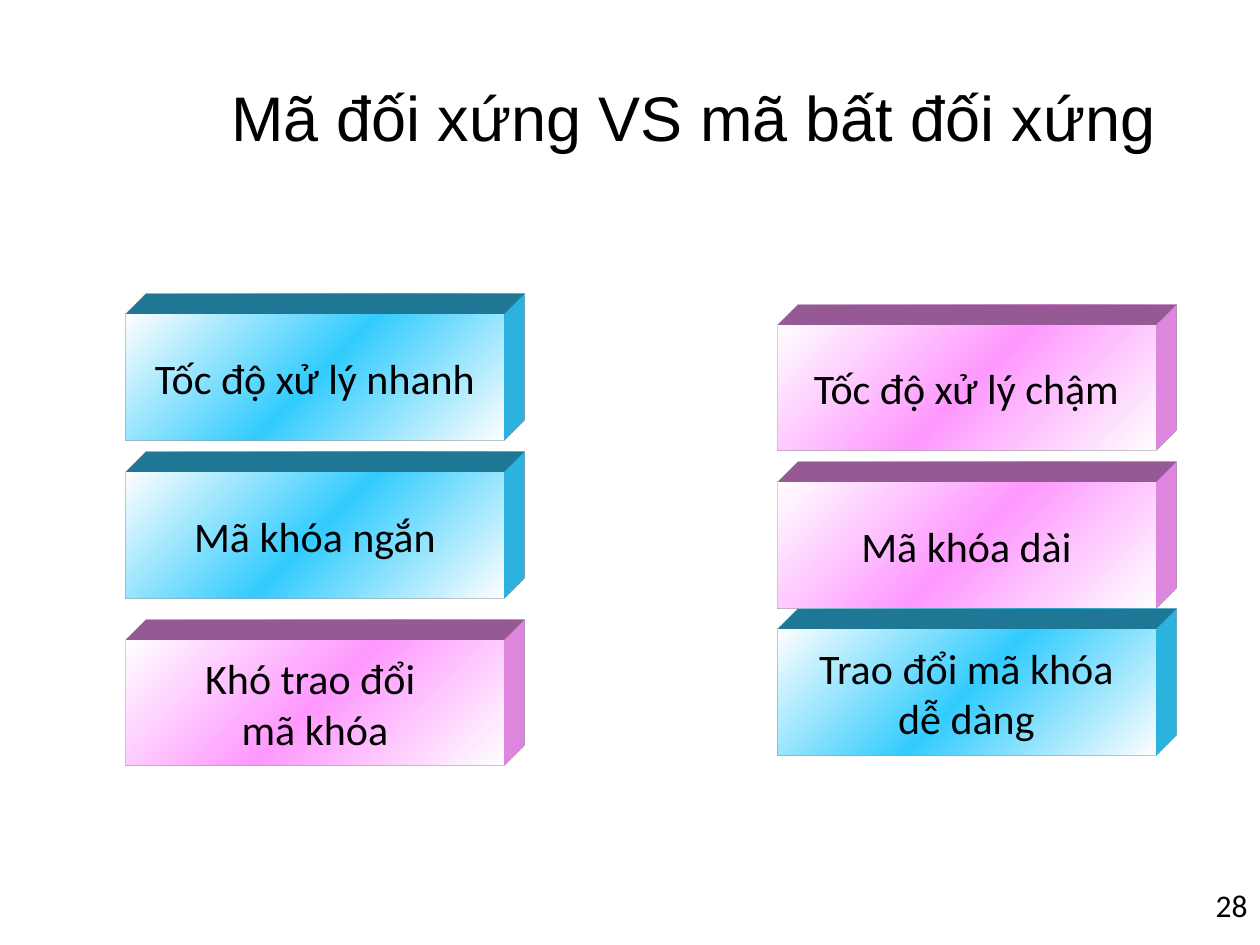
from pptx import Presentation
from pptx.dml.color import RGBColor
from pptx.enum.shapes import MSO_SHAPE
from pptx.enum.text import MSO_ANCHOR as ANCHOR, PP_ALIGN as ALIGN
from pptx.oxml import parse_xml
from pptx.oxml.ns import nsdecls
from pptx.util import Inches, Pt

BLUE, PINK = "33CCFF", "FF99FF"
LEFT_X, RIGHT_X = 1, 6.17
BOX_W, BOX_H = 3, 1


def write(sp, lines, size, font, align, anchor, wrap=True):
    tf = sp.text_frame
    tf.word_wrap = wrap
    tf.vertical_anchor = anchor
    for i, line in enumerate(lines):
        p = tf.add_paragraph() if i else tf.paragraphs[0]
        p.alignment = align
        r = p.add_run()
        r.text = line
        r.font.size = Pt(size)
        r.font.name = font
        r.font.color.rgb = RGBColor.from_string("000000")


def style_block(sp, color):
    """Give a box a diagonal white-color-white gradient and an extruded depth."""
    sp.shadow.inherit = False
    sp.line.fill.background()
    sp.fill.gradient()
    sp.fill.gradient_angle = 315
    pr = sp._element.spPr
    stops = "".join(
        f'<a:gs pos="{pos}"><a:srgbClr val="{c}"/></a:gs>'
        for pos, c in ((0, "FFFFFF"), (50000, color), (100000, "FFFFFF")))
    ns = nsdecls("a")
    old = pr.find(".//{*}gsLst")
    old.getparent().replace(old, parse_xml(f"<a:gsLst {ns}>{stops}</a:gsLst>"))
    pr.append(parse_xml(
        f'<a:scene3d {ns}><a:camera prst="legacyObliqueTopRight"/>'
        '<a:lightRig rig="legacyFlat3" dir="b"/></a:scene3d>'))
    pr.append(parse_xml(
        f'<a:sp3d {ns} extrusionH="430200" prstMaterial="legacyMatte">'
        '<a:bevelT w="13500" h="13500" prst="angle"/>'
        '<a:bevelB w="13500" h="13500" prst="angle"/>'
        f'<a:extrusionClr><a:srgbClr val="{color}"/></a:extrusionClr></a:sp3d>'))


prs = Presentation()
prs.slide_width, prs.slide_height = Inches(10), Inches(7.5)
s = prs.slides.add_slide(prs.slide_layouts[6])

title = s.shapes.add_textbox(Inches(1.51), Inches(0.3), Inches(7.99), Inches(1.25))
write(title, ["Mã đối xứng VS mã bất đối xứng"], 36, "Arial", ALIGN.CENTER, ANCHOR.MIDDLE)

blocks = [
    (LEFT_X, 3.75, BLUE, ["Mã khóa ngắn"]),
    (LEFT_X, 2.5, BLUE, ["Tốc độ xử lý nhanh"]),
    (RIGHT_X, 3.83, PINK, ["Mã khóa dài"]),
    (RIGHT_X, 2.58, PINK, ["Tốc độ xử lý chậm"]),
    (RIGHT_X, 5, BLUE, ["Trao đổi mã khóa", "dễ dàng"]),
    (LEFT_X, 5.08, PINK, ["Khó trao đổi ", "mã khóa"]),
]
for x, y, color, lines in blocks:
    sp = s.shapes.add_shape(MSO_SHAPE.RECTANGLE, Inches(x), Inches(y),
                            Inches(BOX_W), Inches(BOX_H))
    style_block(sp, color)
    write(sp, lines, 24, "Calibri", ALIGN.CENTER, ANCHOR.MIDDLE, wrap=False)

number = s.shapes.add_textbox(Inches(7.67), Inches(6.98), Inches(2.33), Inches(0.52))
write(number, ["28"], 18, "Calibri", ALIGN.RIGHT, ANCHOR.TOP)

prs.save("out.pptx")
